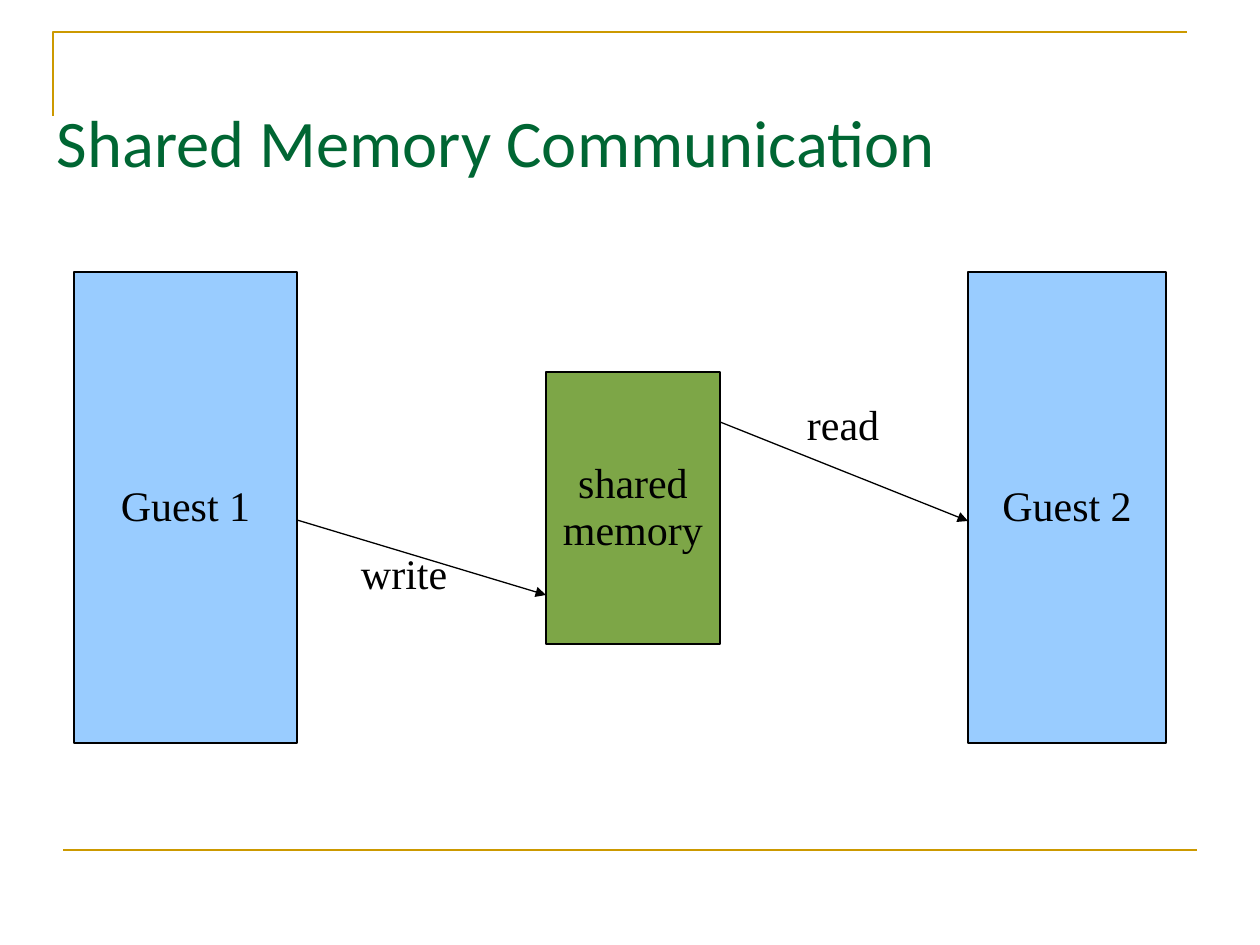
from lxml import etree
from pptx import Presentation
from pptx import util as u
from pptx.dml.color import RGBColor
from pptx.enum import shapes as sh, text as tx
from pptx.oxml.ns import qn

PX = u.Inches(1) / 126
GOLD, GREEN, BLUE, LEAF, BLACK = "CC9900", "006633", "99CCFF", "7DA647", "000000"
MID, TOP = tx.MSO_ANCHOR.MIDDLE, tx.MSO_ANCHOR.TOP
LEFT, CENTER = tx.PP_ALIGN.LEFT, tx.PP_ALIGN.CENTER

TITLE = ("Shared Memory Communication", (57, 67, 1134, 156))
CORNER = [(53, 116), (53, 32), (1187, 32)]
RULE = (63, 850, 1197, 850)
BOXES = [
    (["Guest 1"], (74, 272, 223, 471), BLUE),
    (["Guest 2"], (968, 272, 198, 471), BLUE),
    (["shared", "memory"], (546, 372, 174, 272), LEAF),
]
ARROWS = [(297, 520, 546, 595), (720, 422, 968, 521)]
LABELS = [("write", (348, 546, 149, 59)), ("read", (794, 397, 149, 59))]

BODY = dict(name="Times New Roman", size=u.Pt(24))
HEAD = dict(name="Calibri", size=u.Pt(38))


def px(vals):
    return [u.Emu(round(v * PX)) for v in vals]


def rgb(code):
    return RGBColor.from_string(code)


def stroke(item, color, width):
    item.line.color.rgb = rgb(color)
    item.line.width = u.Pt(width)


def write(shape, lines, font, color=BLACK, align=LEFT, anchor=TOP,
          wrap=True, gap=0.93, pad=(13, 6)):
    frame = shape.text_frame
    frame.text = "\n".join(lines)
    side, edge = px(pad)
    form = dict(word_wrap=wrap, vertical_anchor=anchor,
                auto_size=tx.MSO_AUTO_SIZE.NONE,
                margin_left=side, margin_right=side,
                margin_top=edge, margin_bottom=edge)
    for key, val in form.items():
        setattr(frame, key, val)
    for para in frame.paragraphs:
        para.alignment, para.line_spacing = align, gap
        para.space_before = u.Pt(0)
        for key, val in font.items():
            setattr(para.font, key, val)
        para.font.color.rgb = rgb(color)


def link(ends, color, width, arrow=False):
    line = slide.shapes.add_connector(sh.MSO_CONNECTOR.STRAIGHT, *px(ends))
    stroke(line, color, width)
    if arrow:
        etree.SubElement(line.line._get_or_add_ln(), qn("a:tailEnd"), type="triangle")
    etree.SubElement(line._element.spPr, qn("a:effectLst"))


deck = Presentation()
deck.slide_width, deck.slide_height = u.Inches(10), u.Inches(7.5)
slide = deck.slides.add_slide(deck.slide_layouts[5])

pen = slide.shapes.build_freeform(*CORNER[0], scale=PX)
pen.add_line_segments(CORNER[1:], close=False)
corner = pen.convert_to_shape()
corner.shadow.inherit = False
corner.fill.background()
stroke(corner, GOLD, 1.5)
link(RULE, GOLD, 1.5)

words, place = TITLE
title = slide.shapes.title
title.left, title.top, title.width, title.height = px(place)
write(title, [words], HEAD, GREEN, anchor=MID, gap=0.95, pad=(0, 0))

for lines, place, fill in BOXES:
    box = slide.shapes.add_shape(sh.MSO_SHAPE.RECTANGLE, *px(place))
    box.shadow.inherit = False
    box.fill.solid()
    box.fill.fore_color.rgb = rgb(fill)
    stroke(box, BLACK, 0.75)
    write(box, lines, BODY, align=CENTER, anchor=MID, wrap=False)

for ends in ARROWS:
    link(ends, BLACK, 0.75, arrow=True)

for word, place in LABELS:
    write(slide.shapes.add_textbox(*px(place)), [word], BODY)

deck.save("out.pptx")
